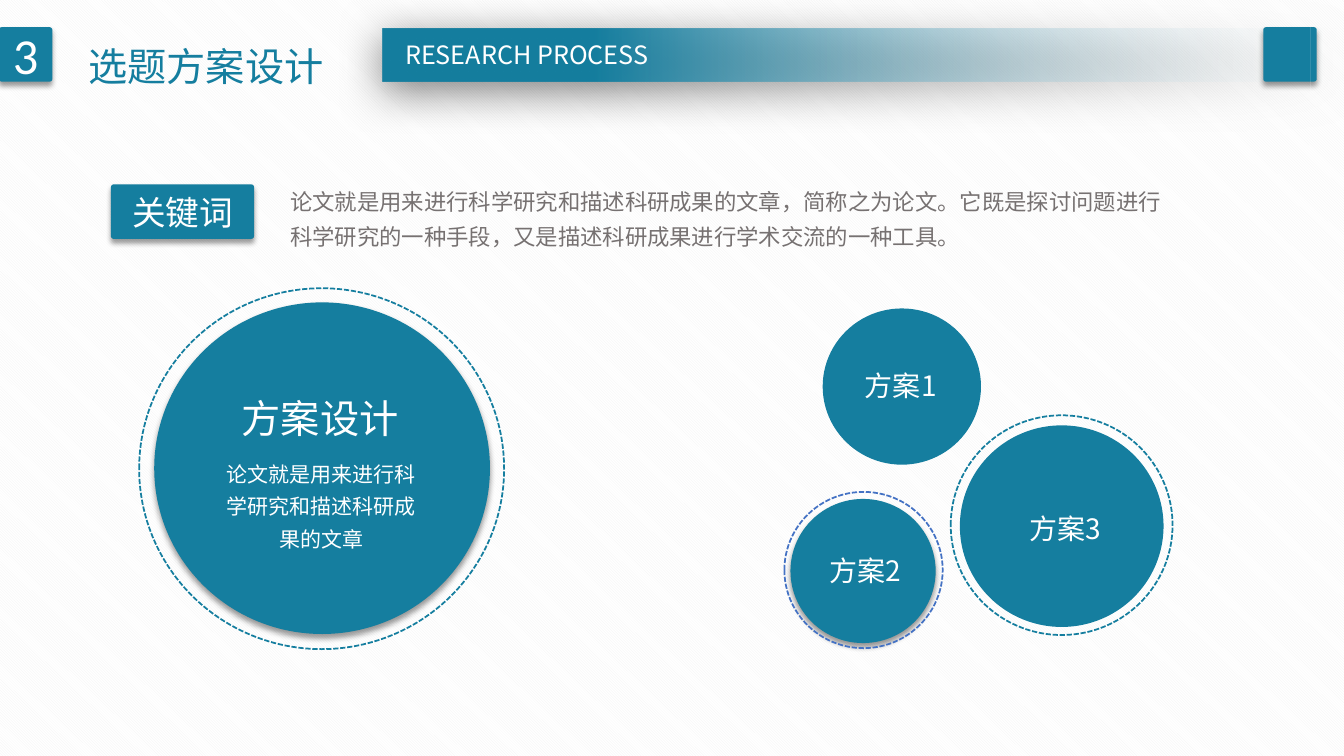
from dataclasses import dataclass
from math import cos, radians, sin

from lxml import etree
from pptx import Presentation
from pptx import util as u
from pptx.dml import color
from pptx.enum import dml, shapes, text
from pptx.oxml import ns


@dataclass(frozen=True)
class Theme:
    """Colours, fonts and type sizes of the deck."""
    teal: str = "157E9F"
    blue: str = "4472C4"
    grey: str = "767171"
    white: str = "FFFFFF"
    stripe: str = "F2F2F2"
    fade: str = "F7FAFD"
    sans: str = "Noto Sans CJK SC"
    latin: str = "Calibri"
    number: int = 36
    title: int = 28
    keyword: int = 24
    label: int = 20
    banner: int = 18
    body: int = 16
    small: int = 15


@dataclass(frozen=True)
class Box:
    """Position and size in inches."""
    left: float
    top: float
    width: float
    height: float

    def lengths(self) -> tuple:
        """Return the four values as lengths."""
        return tuple(u.Inches(value) for value in (self.left, self.top, self.width, self.height))


@dataclass(frozen=True)
class Shadow:
    """Outer shadow: opacity in percent, blur and distance in points, direction in degrees."""
    opacity: int = 40
    blur: int = 4
    distance: int = 3
    direction: int = 90


@dataclass(frozen=True)
class Disc:
    """A filled circle or a dashed ring."""
    box: Box
    fill: str | None = None
    ring: str | None = None
    shadow: Shadow | None = None


@dataclass(frozen=True)
class Tile:
    """A rounded tile with optional text."""
    box: Box
    words: str = ""
    size: int = 18


@dataclass(frozen=True)
class Label:
    """A free text block with its format."""
    box: Box
    words: str
    size: int
    colour: str = Theme.white
    spacing: float = 1.0
    centred: bool = False
    wrap: bool = True


THEME = Theme()
SOFT = Shadow()
OVAL = shapes.MSO_SHAPE.OVAL
TILES = [
    Tile(Box(-0.01, 0.27, 0.53, 0.54), "3", THEME.number),
    Tile(Box(12.53, 0.27, 0.53, 0.54)),
    Tile(Box(1.1, 1.83, 1.42, 0.54), "关键词", THEME.keyword),
]
DISCS = [
    Disc(Box(1.53, 3, 3.33, 3.29), fill=THEME.teal, shadow=SOFT),
    Disc(Box(1.38, 2.86, 3.62, 3.58), ring=THEME.teal),
    Disc(Box(8.16, 3.06, 1.57, 1.55), fill=THEME.teal),
    Disc(Box(7.84, 4.95, 1.44, 1.43), fill=THEME.teal, shadow=SOFT),
    Disc(Box(7.78, 4.88, 1.57, 1.55), ring=THEME.blue),
    Disc(Box(9.52, 4.22, 2.02, 2), fill=THEME.teal),
    Disc(Box(9.43, 4.12, 2.2, 2.18), ring=THEME.teal),
]
LABELS = [
    Label(Box(3.88, 0.34, 2.69, 0.4), "RESEARCH PROCESS", THEME.banner, centred=True, wrap=False),
    Label(Box(0.78, 0.14, 2.53, 0.81), "选题方案设计", THEME.title, THEME.teal, 1.5, wrap=False),
    Label(Box(2.1, 4.45, 2.17, 1.05), "论文就是用来进行科学研究和描述科研成果的文章",
          THEME.small, spacing=1.3, centred=True),
    Label(Box(2.3, 3.63, 1.77, 0.81), "方案设计", THEME.title, spacing=1.5, wrap=False),
    Label(Box(8.48, 3.61, 1.11, 0.44), "方案1", THEME.label),
    Label(Box(8.13, 5.44, 1.11, 0.44), "方案2", THEME.label),
    Label(Box(10.11, 5.03, 1.11, 0.44), "方案3", THEME.label),
    Label(Box(2.78, 1.74, 9.01, 0.8),
          "论文就是用来进行科学研究和描述科研成果的文章，简称之为论文。"
          "它既是探讨问题进行科学研究的一种手段，又是描述科研成果进行学术交流的一种工具。",
          THEME.body, THEME.grey, 1.3),
]
SHARE_ARCS = [
    (12.9, 0.435, 167, 507),
    (12.69, 0.53, -13, 25),
    (12.85, 0.645, 225, 565),
    (12.69, 0.53, 45, 327),
]


def rgb(value: str) -> color.RGBColor:
    """Turn a hex string into a colour."""
    return color.RGBColor.from_string(value)


def write(frame, words: str, *, size: int, colour: str = THEME.white, font: str = THEME.sans,
          spacing: float = 1.0, centred: bool = False, wrap: bool = True) -> None:
    """Write one formatted paragraph into a text frame."""
    frame.word_wrap = wrap
    para = frame.paragraphs[0]
    para.alignment = text.PP_ALIGN.CENTER if centred else text.PP_ALIGN.LEFT
    para.line_spacing = spacing
    span = para.add_run()
    span.text = words
    span.font.size = u.Pt(size)
    span.font.name = font
    span.font.color.rgb = rgb(colour)
    etree.SubElement(span.font._element, ns.qn("a:ea"), typeface=font)


def cast_shadow(shape, shadow: Shadow) -> None:
    """Give a shape an outer shadow."""
    effects = shape._element.spPr.find(ns.qn("a:effectLst"))
    outer = etree.SubElement(effects, ns.qn("a:outerShdw"), blurRad=str(u.Pt(shadow.blur)),
                             dist=str(u.Pt(shadow.distance)), dir=str(shadow.direction * 60000),
                             algn="ctr", rotWithShape="0")
    black = etree.SubElement(outer, ns.qn("a:srgbClr"), val="000000")
    etree.SubElement(black, ns.qn("a:alpha"), val=str(shadow.opacity * 1000))


def draw_shape(page, kind, box: Box, *, fill: str | None = None, ring: str | None = None,
               shadow: Shadow | None = None):
    """Draw a preset shape with a fill, a dashed ring or a shadow."""
    shape = page.shapes.add_shape(kind, *box.lengths())
    shape.shadow.inherit = False
    if fill:
        shape.fill.solid()
        shape.fill.fore_color.rgb = rgb(fill)
    else:
        shape.fill.background()
    if ring:
        shape.line.color.rgb = rgb(ring)
        shape.line.width = u.Pt(1.25)
        shape.line.dash_style = dml.MSO_LINE.SQUARE_DOT
        shape.line._ln.find(ns.qn("a:prstDash")).set("val", "sysDash")
    else:
        shape.line.fill.background()
    if shadow:
        cast_shadow(shape, shadow)
    return shape


def draw_banner(page) -> None:
    """Draw the title banner that fades out to the right."""
    banner = draw_shape(page, shapes.MSO_SHAPE.RECTANGLE, Box(3.8, 0.28, 9.53, 0.53),
                        shadow=Shadow(50, 31, 6, 97))
    banner.fill.gradient()
    banner.fill.gradient_angle = 180
    clear, solid = banner.fill.gradient_stops
    clear.position, solid.position = 0, 0.78
    clear.color.rgb, solid.color.rgb = rgb(THEME.fade), rgb(THEME.teal)
    tint = banner._element.spPr.find(".//" + ns.qn("a:srgbClr"))
    etree.SubElement(tint, ns.qn("a:alpha"), val="0")


def draw_tile(page, tile: Tile) -> None:
    """Draw a rounded tile and its text."""
    shape = draw_shape(page, shapes.MSO_SHAPE.ROUNDED_RECTANGLE, tile.box, fill=THEME.teal, shadow=SOFT)
    shape.adjustments[0] = 0.05
    if tile.words:
        shape.text_frame.vertical_anchor = text.MSO_ANCHOR.MIDDLE
        write(shape.text_frame, tile.words, size=tile.size, font=THEME.latin, centred=True)


def draw_share_sign(page) -> None:
    """Draw three linked dots as one outline."""
    points = [(x + 0.047 * cos(radians(angle)), y + 0.047 * sin(radians(angle)))
              for x, y, start, end in SHARE_ARCS
              for angle in [start + (end - start) * step / 24 for step in range(25)]]
    builder = page.shapes.build_freeform(*points[0], scale=u.Inches(1))
    builder.add_line_segments(points[1:], close=True)
    sign = builder.convert_to_shape()
    sign.shadow.inherit = False
    sign.fill.solid()
    sign.fill.fore_color.rgb = rgb(THEME.white)
    sign.line.fill.background()


def draw_label(page, label: Label) -> None:
    """Draw a text block."""
    frame = page.shapes.add_textbox(*label.box.lengths()).text_frame
    write(frame, label.words, size=label.size, colour=label.colour, spacing=label.spacing,
          centred=label.centred, wrap=label.wrap)
    frame.auto_size = text.MSO_AUTO_SIZE.SHAPE_TO_FIT_TEXT


def main() -> None:
    """Build the slide and save the deck."""
    deck = Presentation()
    deck.slide_width, deck.slide_height = u.Inches(13.33), u.Inches(7.5)
    page = deck.slides.add_slide(deck.slide_layouts[6])
    backdrop = page.background.fill
    backdrop.patterned()
    backdrop.pattern = dml.MSO_PATTERN.DARK_DOWNWARD_DIAGONAL
    backdrop.fore_color.rgb, backdrop.back_color.rgb = rgb(THEME.stripe), rgb(THEME.white)
    draw_banner(page)
    for tile in TILES:
        draw_tile(page, tile)
    draw_share_sign(page)
    for disc in DISCS:
        draw_shape(page, OVAL, disc.box, fill=disc.fill, ring=disc.ring, shadow=disc.shadow)
    for label in LABELS:
        draw_label(page, label)
    deck.save("out.pptx")


if __name__ == "__main__":
    main()
